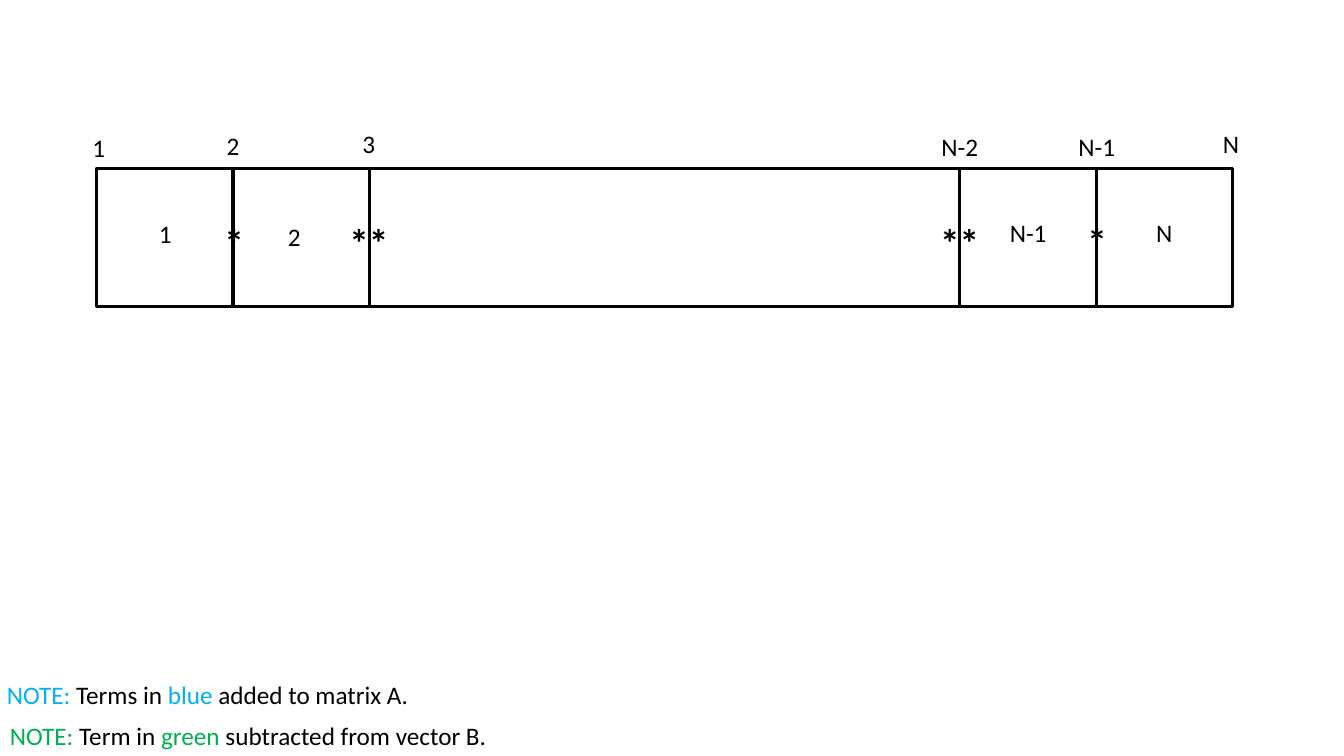
from pptx import Presentation
from pptx.dml.color import RGBColor
from pptx.enum.shapes import MSO_SHAPE
from pptx.enum.text import MSO_AUTO_SIZE, PP_ALIGN
from pptx.util import Pt

RECT = MSO_SHAPE.RECTANGLE
GROW = MSO_AUTO_SIZE.SHAPE_TO_FIT_TEXT
LEFT, CENTER = PP_ALIGN.LEFT, PP_ALIGN.CENTER
BLACK = RGBColor(0x00, 0x00, 0x00)
BLUE = RGBColor(0x00, 0xB0, 0xF0)
GREEN = RGBColor(0x00, 0xB0, 0x50)


class Canvas:
    font = "Calibri"
    line_width = 2.25

    def __init__(self, slide):
        self.s = slide

    def box(self, x, y, w, h):
        sp = self.s.shapes.add_shape(RECT, Pt(x), Pt(y), Pt(w), Pt(h))
        sp.shadow.inherit = False
        sp.fill.background()
        sp.line.color.rgb = BLACK
        sp.line.width = Pt(self.line_width)

    def text(self, x, y, w, h, runs, size=18, bold=False, align=LEFT):
        tf = self.s.shapes.add_textbox(Pt(x), Pt(y), Pt(w), Pt(h)).text_frame
        tf.word_wrap = True
        tf.auto_size = GROW
        p = tf.paragraphs[0]
        p.alignment = align
        for words, color in runs:
            r = p.add_run()
            r.text = words
            r.font.name = self.font
            r.font.size = Pt(size)
            r.font.bold = bold
            r.font.color.rgb = color

    def label(self, words, center, y):
        w = 44.6 if "N" in words else 28.8
        self.text(center - w / 2, y, w, 28.8, [(words, BLACK)], align=CENTER)

    def stars(self, words, center, y):
        w = 26.6 if len(words) == 1 else 44.6
        self.text(center - w / 2, y, w, 41, [(words, BLACK)], 28, True, CENTER)

    def note(self, x, y, w, color, subject, name, ending):
        self.text(x, y, w, 28.8, [("NOTE:", color), (subject, BLACK),
                                  (name, color), (ending, BLACK)])


prs = Presentation()
prs.slide_width, prs.slide_height = Pt(960), Pt(540)
c = Canvas(prs.slides.add_slide(prs.slide_layouts[6]))

BAR_X, BAR_Y, BAR_W, BAR_H, CELL = 69, 120.4, 811.5, 98.6, 97.5
BAR_END = BAR_X + BAR_W
c.box(BAR_X, BAR_Y, BAR_W, BAR_H)
for x in (BAR_X, BAR_X + CELL, BAR_END - CELL, BAR_END - 2 * CELL):
    c.box(x, BAR_Y, CELL, BAR_H)

for words, center, y in [("*", BAR_X + CELL, 152.6),
                         ("**", BAR_X + 2 * CELL - 0.5, 152.6),
                         ("**", BAR_END - 2 * CELL, 152.6),
                         ("*", BAR_END - CELL, 152)]:
    c.stars(words, center, y)

node_labels = [("1", 70.6, 90.7), ("2", 166.4, 89.3), ("3", 263.5, 87.8),
               ("N-2", 685.5, 90), ("N-1", 783.4, 90), ("N", 879.2, 87.8)]
cell_labels = [("1", 118.1, 152.6), ("2", 210.3, 154.8),
               ("N", 831.6, 152), ("N-1", 734.4, 152)]
for words, center, y in node_labels + cell_labels:
    c.label(words, center, y)

c.note(-2.2, 481.7, 440.6, BLUE, " Terms in ", "blue ", "added to matrix A.")
c.note(0, 511.2, 576.7, GREEN, " Term in ", "green ", "subtracted from vector B.")

prs.save("out.pptx")
